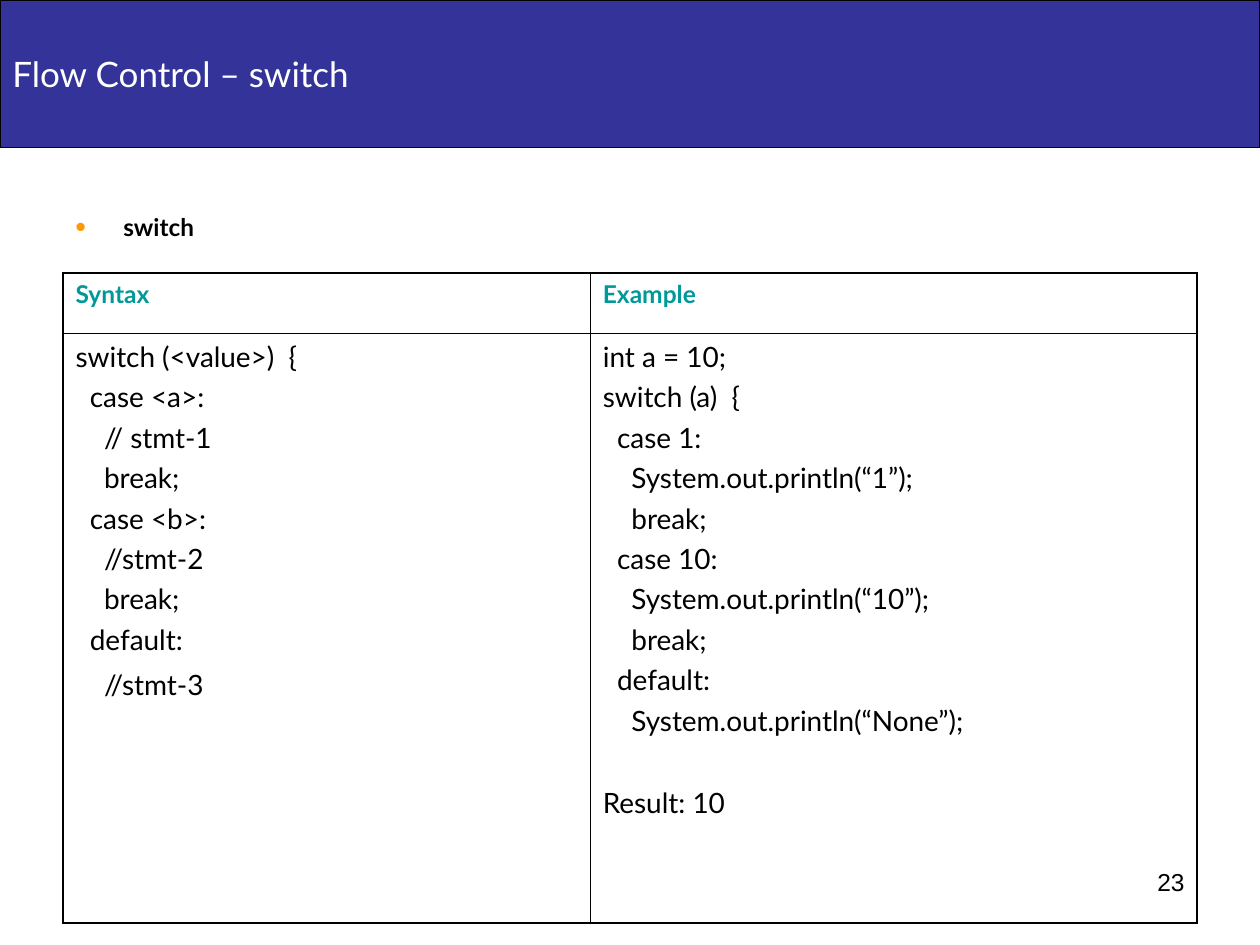
from lxml import etree
from pptx import Presentation
from pptx.dml.color import RGBColor
from pptx.enum.shapes import MSO_SHAPE
from pptx.enum.text import MSO_ANCHOR, PP_ALIGN
from pptx.oxml.ns import qn
from pptx.util import Inches, Pt

RECT = MSO_SHAPE.RECTANGLE
MIDDLE = MSO_ANCHOR.MIDDLE
LEFT, RIGHT = PP_ALIGN.LEFT, PP_ALIGN.RIGHT

WIDE, HIGH = Inches(10), Inches(7.5)
COLORS = {"band": "333399", "ink": "000000", "paper": "FFFFFF",
          "head": "009999", "dot": "FF9900"}
THICK, THIN = Pt(1.08), Pt(0.45)
COLS = (0.465, 0.535)
ROWS = (0.093, 0.907)
HEADS = ("Syntax", "Example")
SYNTAX = (
    "switch (<value>)  {",
    "  case <a>:",
    "    // stmt-1",
    "    break;",
    "  case <b>:",
    "    //stmt-2",
    "    break;",
    "  default:",
    "    //stmt-3",
)
EXAMPLE = (
    "int a = 10;",
    "switch (a)  {",
    "  case 1:",
    "    System.out.println(“1”);",
    "    break;",
    "  case 10:",
    "    System.out.println(“10”);",
    "    break;",
    "  default:",
    "    System.out.println(“None”);",
    "Result: 10",
)
GAP = 4
CODES = ((SYNTAX, 6.5), (EXAMPLE, 28))


def share(left, top, width, height):
    return (round(left * WIDE), round(top * HIGH),
            round(width * WIDE), round(height * HIGH))


def color(name):
    return RGBColor.from_string(COLORS[name])


def style(para, size, ink="ink", bold=False, face="Lato"):
    font = para.font
    font.name, font.size, font.bold = face, Pt(size), bold
    font.color.rgb = color(ink)


def add_title(slide, box, text):
    band = slide.shapes.add_shape(RECT, *box)
    band.shadow.inherit = False
    band.fill.solid()
    band.fill.fore_color.rgb = color("band")
    band.line.color.rgb = color("ink")
    band.line.width = Pt(0.75)
    frame = band.text_frame
    frame.word_wrap = False
    frame.vertical_anchor = MIDDLE
    para = frame.paragraphs[0]
    para.text = text
    para.alignment = LEFT
    style(para, 20, "paper")


def add_point(slide, box, text):
    frame = slide.shapes.add_textbox(*box).text_frame
    frame.word_wrap = True
    frame.margin_top = Inches(0.1)
    para = frame.paragraphs[0]
    para.text = text
    props = para._p.get_or_add_pPr()
    props.set("marL", str(Inches(0.38)))
    props.set("indent", str(-Inches(0.38)))
    tint = etree.SubElement(props, qn("a:buClr"))
    etree.SubElement(tint, qn("a:srgbClr"), val=COLORS["dot"])
    etree.SubElement(props, qn("a:buSzPct"), val="125000")
    etree.SubElement(props, qn("a:buFont"), typeface="Arial")
    etree.SubElement(props, qn("a:buChar"), char="•")
    style(para, 13.9, bold=True)


def set_edges(cell, row, col):
    props = cell._tc.get_or_add_tcPr()
    outer = {"L": col == 0, "R": col == 1, "T": row == 0, "B": row == 1}
    for side, thick in outer.items():
        edge = etree.SubElement(props, qn(f"a:ln{side}"),
                                w=str(THICK if thick else THIN))
        fill = etree.SubElement(edge, qn("a:solidFill"))
        etree.SubElement(fill, qn("a:srgbClr"), val=COLORS["ink"])
    cell.fill.background()


def fill_code(cell, lines, last):
    frame = cell.text_frame
    for num, line in enumerate(lines):
        para = frame.add_paragraph() if num else frame.paragraphs[0]
        para.text = line
        if num:
            para.space_before = Pt(last if num == len(lines) - 1 else GAP)
        style(para, 16)


def add_grid(slide, box):
    table = slide.shapes.add_table(len(ROWS), len(COLS), *box).table
    table.first_row = table.horz_banding = False
    for col, part in zip(table.columns, COLS):
        col.width = round(box[2] * part)
    for row, part in zip(table.rows, ROWS):
        row.height = round(box[3] * part)
    for col, (head, code) in enumerate(zip(HEADS, CODES)):
        for row in range(len(ROWS)):
            set_edges(table.cell(row, col), row, col)
        para = table.cell(0, col).text_frame.paragraphs[0]
        para.text = head
        style(para, 14, "head", True)
        fill_code(table.cell(1, col), *code)


def add_number(slide, box, text):
    frame = slide.shapes.add_textbox(*box).text_frame
    frame.word_wrap = True
    para = frame.paragraphs[0]
    para.text = text
    para.alignment = RIGHT
    style(para, 14, face="Arial")


def main():
    deck = Presentation()
    deck.slide_width, deck.slide_height = WIDE, HIGH
    slide = deck.slides.add_slide(deck.slide_layouts[6])
    add_title(slide, share(0, 0, 1, 0.156), "Flow Control – switch")
    add_grid(slide, share(0.05, 0.289, 0.9, 0.688))
    add_point(slide, share(0.05, 0.211, 0.442, 0.067), "switch")
    add_number(slide, share(0.717, 0.911, 0.233, 0.069), "23")
    deck.save("out.pptx")


if __name__ == "__main__":
    main()
